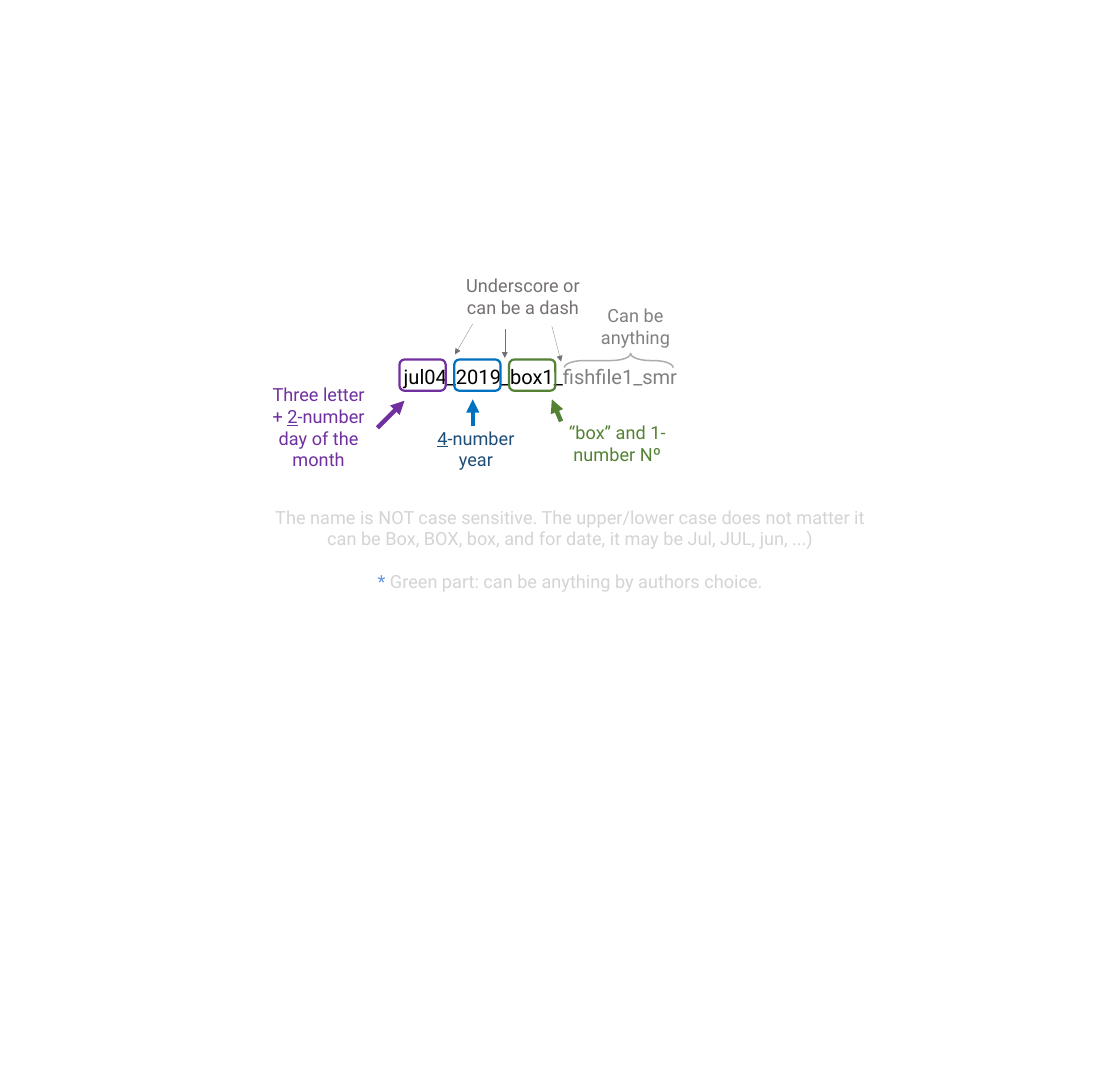
from pptx import Presentation
from pptx.dml.color import RGBColor
from pptx.enum.shapes import MSO_CONNECTOR, MSO_SHAPE
from pptx.enum.text import MSO_AUTO_SIZE, PP_ALIGN
from pptx.oxml.ns import qn
from pptx.util import Pt
from lxml import etree

SCALE = 9144
ROUND = MSO_SHAPE.ROUNDED_RECTANGLE
BRACE = MSO_SHAPE.RIGHT_BRACE
STRAIGHT = MSO_CONNECTOR.STRAIGHT
CENTER = PP_ALIGN.CENTER
GROW = MSO_AUTO_SIZE.SHAPE_TO_FIT_TEXT
FONT = {"name": "Roboto", "bold": False, "italic": False}
COLORS = {
    "black": "000000", "gray": "808080", "ash": "767171", "silver": "AFABAB",
    "pale": "D4D4D4", "star": "6796E6", "purple": "7030A0",
    "blue": "0070C0", "navy": "1F4E79", "green": "548235",
}


def px(*nums):
    """Turn px lengths into EMU."""
    return [num * SCALE for num in nums]


def color(name):
    """Look up a colour by name."""
    return RGBColor.from_string(COLORS[name])


def set_all(thing, values):
    """Set attributes from a dict of format values."""
    for name, value in values.items():
        setattr(thing, name, value)


def add_text(slide, box, paras, size=18.3, gap=0):
    """Add a centred text box; each run is text, colour and underline."""
    frame = slide.shapes.add_textbox(*px(*box)).text_frame
    set_all(frame, {"word_wrap": True, "auto_size": GROW})
    for i, runs in enumerate(paras):
        para = frame.add_paragraph() if i else frame.paragraphs[0]
        set_all(para, {"alignment": CENTER, "space_before": Pt(gap if i else 0)})
        for text, tint, under in runs:
            run = para.add_run()
            run.text = text
            set_all(run.font, {**FONT, "size": Pt(size), "underline": under})
            run.font.color.rgb = color(tint)


def add_frame(slide, kind, box, tint, width):
    """Add an unfilled outline shape."""
    shape = slide.shapes.add_shape(kind, *px(*box))
    shape.shadow.inherit = False
    shape.fill.background()
    shape.line.color.rgb = color(tint)
    shape.line.width = Pt(width)
    return shape


def add_arrow(slide, ends, tint, width):
    """Add a straight line with an arrowhead at its end."""
    arrow = slide.shapes.add_connector(STRAIGHT, *px(*ends))
    arrow.line.color.rgb = color(tint)
    arrow.line.width = Pt(width)
    props = arrow.element.spPr
    etree.SubElement(props.find(qn("a:ln")), qn("a:tailEnd"), type="triangle")
    etree.SubElement(props, qn("a:effectLst"))


def main():
    """Build the file name guide."""
    deck = Presentation()
    deck.slide_width, deck.slide_height = px(1573, 1520)
    slide = deck.slides.add_slide(deck.slide_layouts[6])

    add_text(slide, (364, 706, 874, 138), [
        [("The name is NOT case sensitive. The upper/lower case does not matter "
          "it can be Box, BOX, box, and for date, it may be Jul, JUL, jun, ...)",
          "pale", False)],
        [("*", "star", False),
         (" Green part: can be anything by authors choice.", "pale", False)],
    ], gap=21.4)
    add_text(slide, (404, 507, 710, 45), [
        [("jul04_2019_box1_", "black", False), ("fishfile1_smr", "gray", False)],
    ], size=20.3)

    labels = [
        ((364, 534, 167, 135), [("Three letter + ", "purple", False),
                                ("2", "purple", True),
                                ("-number day of the month", "purple", False)]),
        ((585, 595, 167, 73), [("4", "navy", True), ("-number year", "navy", False)]),
        ((748, 587, 238, 73), [("“box” and 1-number Nº", "green", False)]),
        ((815, 423, 155, 73), [("Can be anything", "gray", False)]),
        ((639, 381, 191, 73), [("Underscore or can be a dash", "ash", False)]),
    ]
    for box, runs in labels:
        add_text(slide, box, [runs])

    for i, tint in enumerate(("purple", "blue", "green")):
        add_frame(slide, ROUND, (561 + 77 * i, 505, 65, 44), tint, 2.25)

    brace = add_frame(slide, BRACE, (859, 430, 20, 153), "silver", 1.5)
    brace.rotation = 270
    brace.adjustments[0] = 1.37
    brace.adjustments[1] = 0.61

    arrows = [
        ((530, 601, 568, 563), "purple", 4.5),
        ((664, 599, 664, 561), "blue", 4.5),
        ((788, 592, 775, 561), "green", 4.5),
        ((664, 455, 639, 498), "ash", 0.25),
        ((709, 462, 709, 503), "ash", 0.25),
        ((775, 458, 788, 508), "ash", 0.25),
    ]
    for ends, tint, width in arrows:
        add_arrow(slide, ends, tint, width)

    deck.save("out.pptx")


if __name__ == "__main__":
    main()
